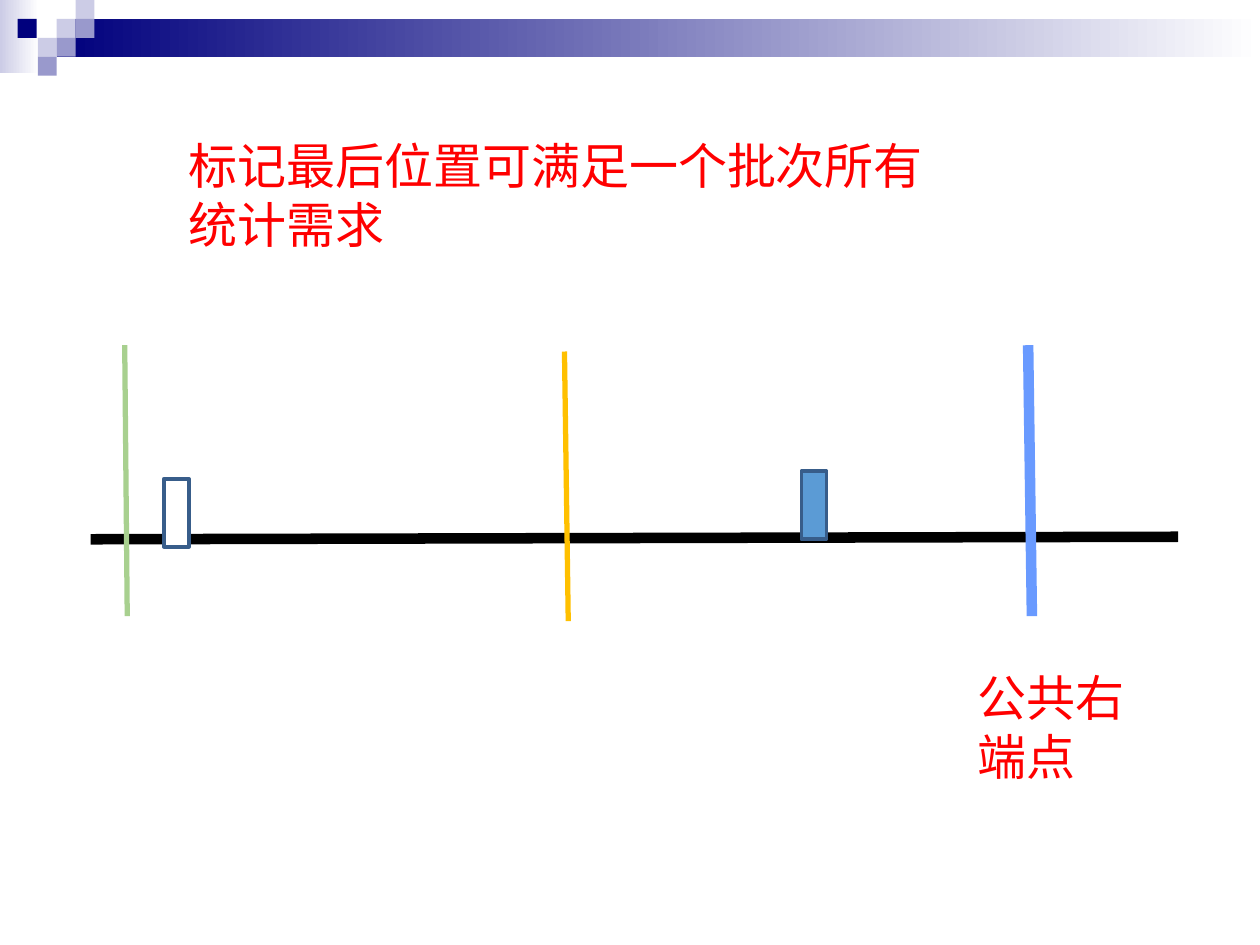
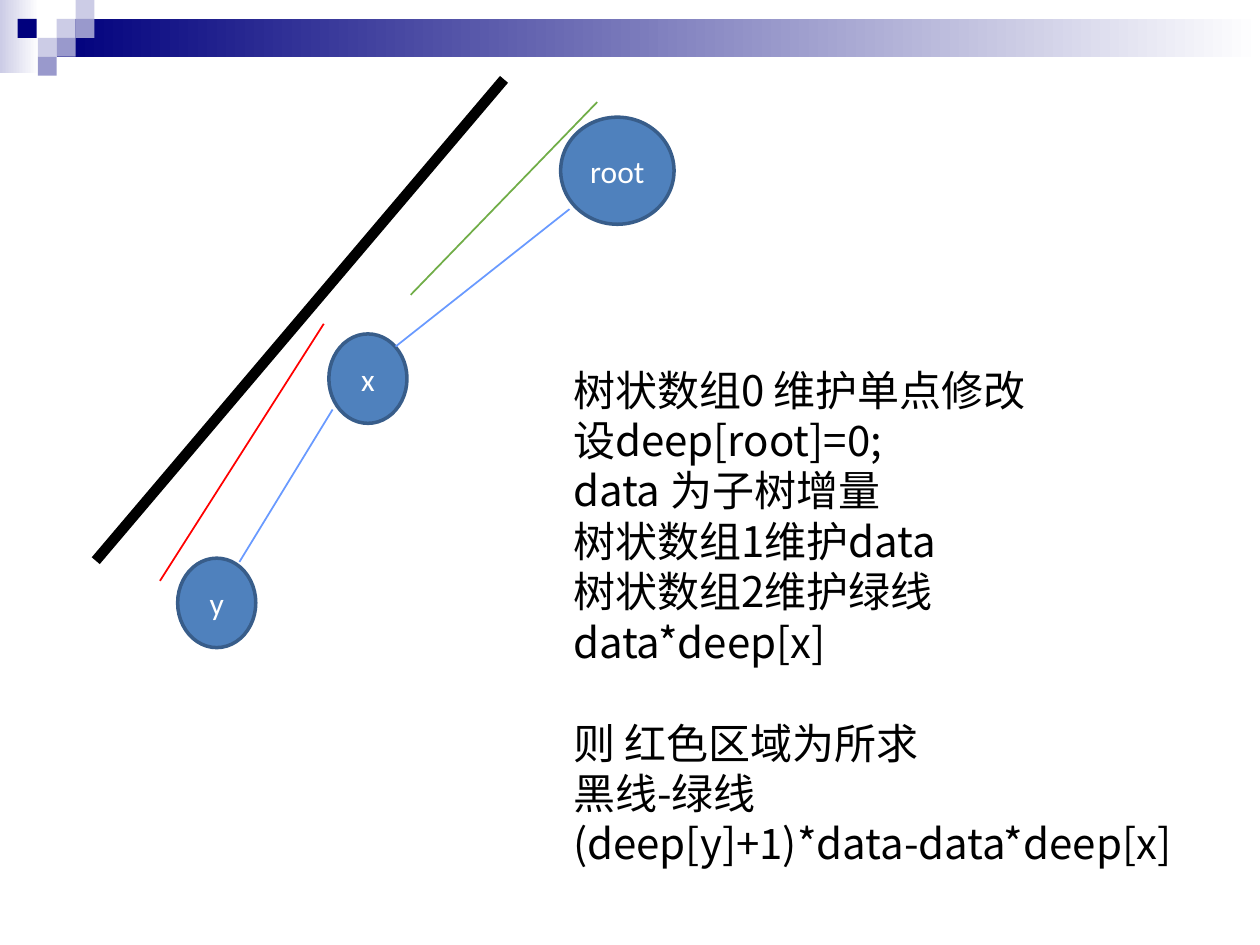
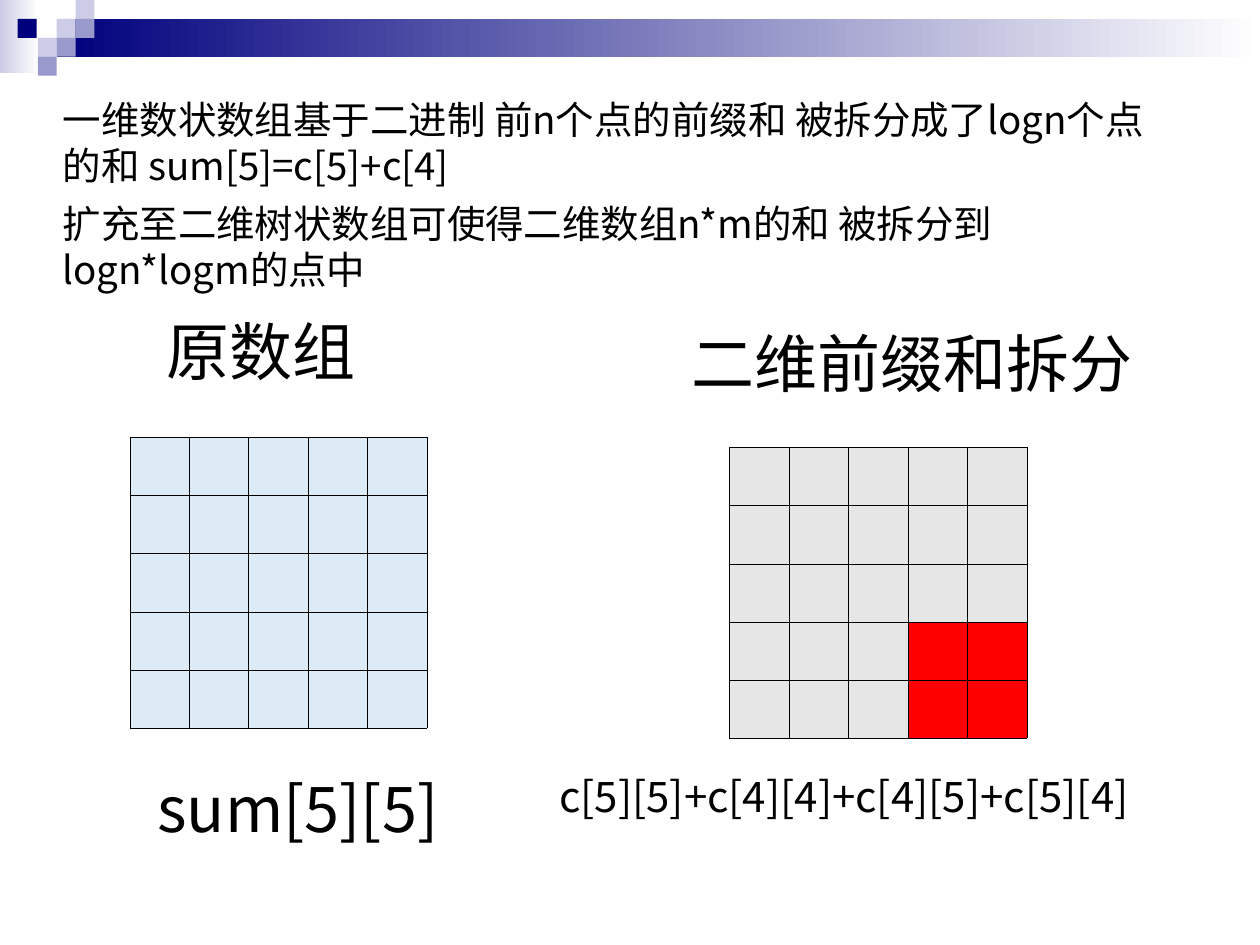
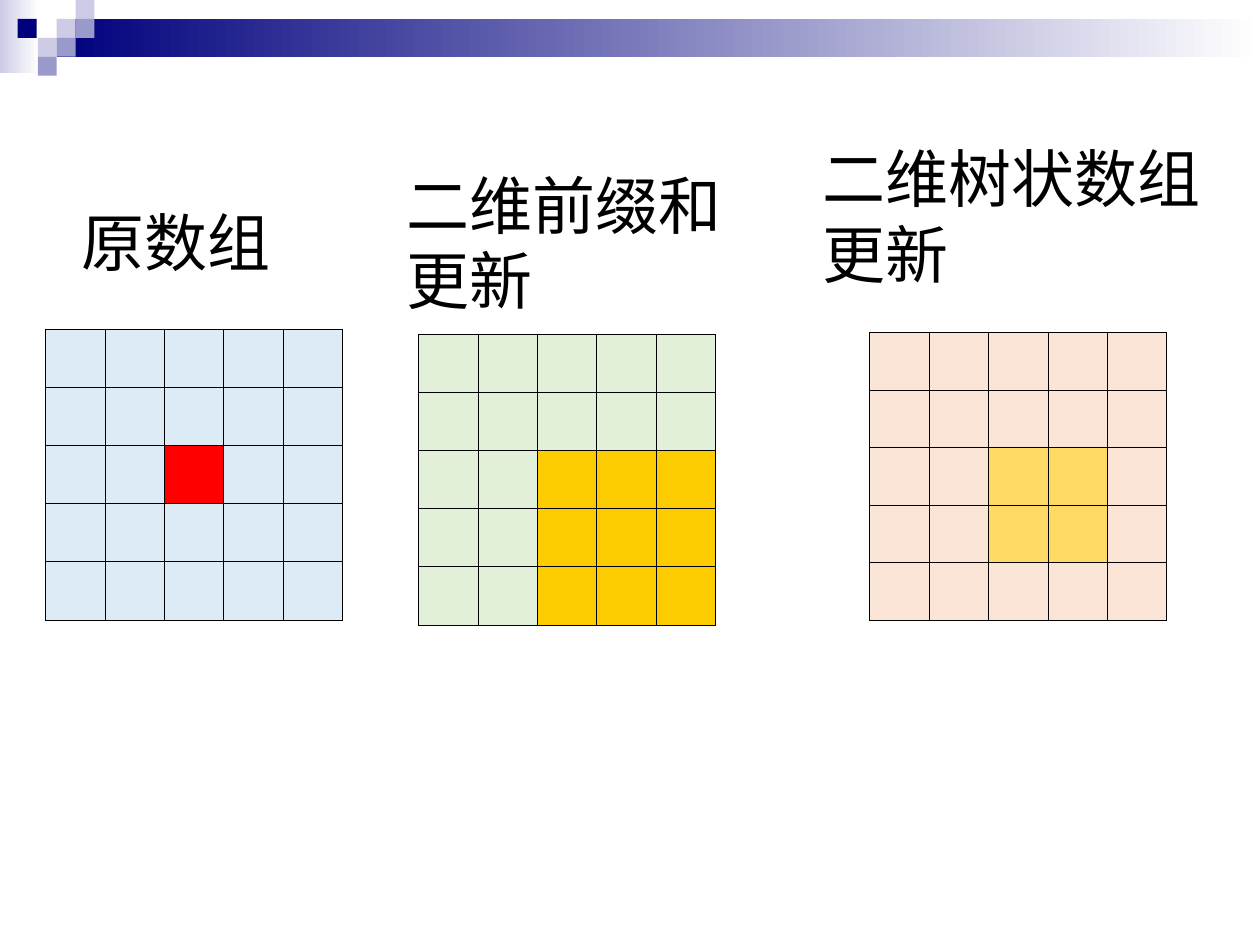
"""Build four slides on prefix sums and binary indexed trees."""
import typing

import lxml.etree
import pptx
import pptx.dml.color
import pptx.enum.shapes
import pptx.enum.text
import pptx.oxml.ns
import pptx.util

SCALE = 9144
SANS = "Noto Sans CJK SC"
BLACK, WHITE, RED = "000000", "FFFFFF", "FF0000"
NAVY, LILAC, MAUVE = "00007D", "CCCCE6", "9999CC"
EDGE, NODE, BLUE, PALE = "385D8A", "4F81BD", "699AFF", "DDEBF7"
RECT = pptx.enum.shapes.MSO_SHAPE.RECTANGLE
OVAL = pptx.enum.shapes.MSO_SHAPE.OVAL
CELLS = 5


class Box(typing.NamedTuple):
    left: int
    top: int
    width: int
    height: int


class Line(typing.NamedTuple):
    start: tuple[int, int]
    end: tuple[int, int]
    color: str
    weight: int


class Block(typing.NamedTuple):
    box: Box
    color: str
    edge: str | None = None
    label: str = ""
    form: int = RECT


class Grid(typing.NamedTuple):
    box: Box
    color: str
    mark: str = WHITE
    rows: range = range(0)
    cols: range = range(0)


FADES = [(Box(0, 0, 31, 58), LILAC), (Box(45, 15, 955, 30), NAVY)]
TILES = [
    (45, 15, LILAC), (60, 0, LILAC), (60, 15, MAUVE), (30, 30, LILAC),
    (14, 15, NAVY), (45, 30, MAUVE), (30, 45, MAUVE),
]


def emu(*sizes: int) -> list[pptx.util.Emu]:
    return [pptx.util.Emu(size * SCALE) for size in sizes]


def rgb(color: str) -> pptx.dml.color.RGBColor:
    return pptx.dml.color.RGBColor.from_string(color)


def child(parent, tag: str, **attrs: str):
    return lxml.etree.SubElement(parent, pptx.oxml.ns.qn(tag), **attrs)


def write(frame, text: str, *, size: int, color: str = BLACK, font: str = SANS,
          align=pptx.enum.text.PP_ALIGN.LEFT, gaps: dict[int, float] | None = None) -> None:
    frame.word_wrap = True
    for index, words in enumerate(text.split("\n")):
        para = frame.paragraphs[0] if index == 0 else frame.add_paragraph()
        para.alignment = align
        if gaps and index in gaps:
            para.space_before = pptx.util.Pt(gaps[index])
        run = para.add_run()
        run.text = words
        run.font.size = pptx.util.Pt(size)
        run.font.color.rgb = rgb(color)
        run.font.name = font
        child(run.font._element, "a:ea", typeface=font)


def add_text(slide, box: Box, text: str, *, grow: bool = True, **style) -> None:
    frame = slide.shapes.add_textbox(*emu(*box)).text_frame
    write(frame, text, **style)
    if grow:
        frame.auto_size = pptx.enum.text.MSO_AUTO_SIZE.SHAPE_TO_FIT_TEXT


def add_block(slide, block: Block):
    shape = slide.shapes.add_shape(block.form, *emu(*block.box))
    shape.shadow.inherit = False
    shape.fill.solid()
    shape.fill.fore_color.rgb = rgb(block.color)
    if block.edge:
        shape.line.color.rgb = rgb(block.edge)
        shape.line.width = pptx.util.Pt(2)
    else:
        shape.line.fill.background()
    if block.label:
        shape.text_frame.vertical_anchor = pptx.enum.text.MSO_ANCHOR.MIDDLE
        write(shape.text_frame, block.label, size=18, color=WHITE, font="Calibri",
              align=pptx.enum.text.PP_ALIGN.CENTER)
    return shape


def add_line(slide, line: Line) -> None:
    kind = pptx.enum.shapes.MSO_CONNECTOR.STRAIGHT
    shape = slide.shapes.add_connector(kind, *emu(*line.start, *line.end))
    shape.line.color.rgb = rgb(line.color)
    shape.line.width = pptx.util.Pt(line.weight)
    child(shape._element.spPr, "a:effectLst")


def add_grid(slide, grid: Grid) -> None:
    table = slide.shapes.add_table(CELLS, CELLS, *emu(*grid.box)).table
    table.first_row = table.horz_banding = False
    for row in range(CELLS):
        for col in range(CELLS):
            cell = table.cell(row, col)
            props = cell._tc.get_or_add_tcPr()
            for side in ("lnL", "lnR", "lnT", "lnB"):
                edge = child(props, f"a:{side}", w=str(pptx.util.Pt(0.23)))
                child(child(edge, "a:solidFill"), "a:srgbClr", val=BLACK)
            marked = row in grid.rows and col in grid.cols
            cell.fill.solid()
            cell.fill.fore_color.rgb = rgb(grid.mark if marked else grid.color)


def add_band(deck, slide) -> None:
    shapes = []
    for box, color in FADES:
        shape = add_block(slide, Block(box, color))
        shape.fill.gradient()
        shape.fill.gradient_angle = 180
        for stop, tint in zip(shape.fill.gradient_stops, (WHITE, color)):
            stop.color.rgb = rgb(tint)
        shapes.append(shape)
    for left, top, color in TILES:
        shapes.append(add_block(slide, Block(Box(left, top, 15, 15), color)))
    tree = deck.slide_master.shapes.element
    for index, shape in enumerate(shapes):
        tree.insert(2 + index, shape._element)


def draw_marks(slide) -> None:
    add_line(slide, Line((72, 428), (935, 426), BLACK, 6))
    add_block(slide, Block(Box(130, 380, 20, 54), WHITE, EDGE))
    add_block(slide, Block(Box(636, 374, 20, 54), "5B9BD5", EDGE))
    for line in (
        Line((448, 279), (451, 493), "FFC000", 3),
        Line((99, 274), (101, 489), "A8D08F", 3),
        Line((816, 274), (819, 489), BLUE, 6),
    ):
        add_line(slide, line)
    add_text(slide, Box(140, 103, 608, 104), "标记最后位置可满足一个批次所有统计需求",
             size=28, color=RED)
    add_text(slide, Box(766, 525, 142, 104), "公共右端点", size=28, color=RED)


def draw_tree(slide) -> None:
    for box, label in (
        (Box(445, 93, 90, 85), "root"),
        (Box(261, 265, 62, 71), "x"),
        (Box(141, 443, 62, 71), "y"),
    ):
        add_block(slide, Block(box, NODE, EDGE, label, OVAL))
    for line in (
        Line((452, 166), (314, 275), BLUE, 1),
        Line((264, 325), (190, 446), BLUE, 1),
        Line((257, 257), (127, 461), RED, 1),
        Line((474, 81), (326, 234), "70AD47", 1),
        Line((400, 63), (76, 445), BLACK, 6),
    ):
        add_line(slide, line)
    notes = """树状数组0 维护单点修改
设deep[root]=0;
data 为子树增量
树状数组1维护data
树状数组2维护绿线data*deep[x]
则 红色区域为所求
黑线-绿线
(deep[y]+1)*data-data*deep[x]"""
    add_text(slide, Box(445, 284, 499, 410), notes, size=24, gaps={5: 29})


def draw_split(slide) -> None:
    intro = """一维数状数组基于二进制 前n个点的前缀和 被拆分成了logn个点的和 sum[5]=c[5]+c[4]
扩充至二维树状数组可使得二维数组n*m的和 被拆分到logn*logm的点中"""
    add_text(slide, Box(40, 71, 900, 172), intro, size=22, gaps={1: 7}, grow=False)
    add_grid(slide, Grid(Box(103, 347, 236, 231), PALE))
    add_grid(slide, Grid(Box(579, 355, 236, 231), "E7E6E6", RED, range(3, 5), range(3, 5)))
    for box, text, size in (
        (Box(122, 243, 173, 70), "原数组", 36),
        (Box(539, 253, 371, 70), "二维前缀和拆分", 36),
        (Box(115, 606, 268, 70), "sum[5][5]", 36),
        (Box(434, 607, 559, 50), "c[5][5]+c[4][4]+c[4][5]+c[5][4]", 24),
    ):
        add_text(slide, box, text, size=size)


def draw_change(slide) -> None:
    for grid in (
        Grid(Box(36, 261, 236, 231), PALE, RED, range(2, 3), range(2, 3)),
        Grid(Box(332, 265, 236, 231), "E2F0D9", "FCCC00", range(2, 5), range(2, 5)),
        Grid(Box(690, 264, 236, 228), "FBE5D7", "FFD966", range(2, 4), range(2, 4)),
    ):
        add_grid(slide, grid)
    for box, text in (
        (Box(55, 157, 173, 70), "原数组"),
        (Box(313, 127, 356, 130), "二维前缀和\n更新"),
        (Box(643, 106, 356, 130), "二维树状数组\n更新"),
    ):
        add_text(slide, box, text, size=36)


def main() -> None:
    deck = pptx.Presentation()
    deck.slide_width, deck.slide_height = emu(1000, 750)
    blank = deck.slide_layouts[6]
    for index, draw in enumerate((draw_marks, draw_tree, draw_split, draw_change)):
        slide = deck.slides.add_slide(blank)
        if index == 0:
            add_band(deck, slide)
        draw(slide)
    deck.save("out.pptx")


if __name__ == "__main__":
    main()
